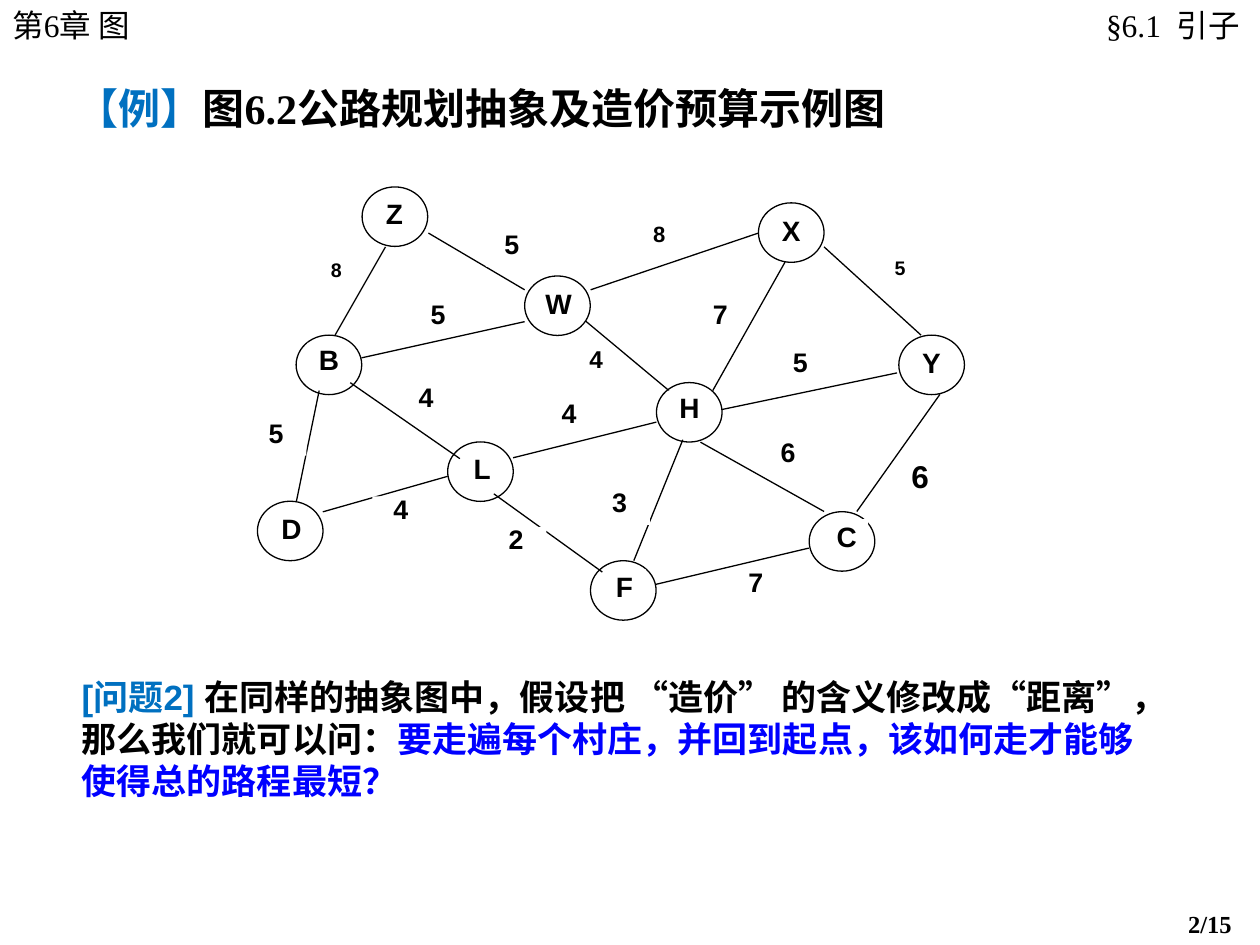
from lxml import etree
from pptx import Presentation
from pptx.dml.color import RGBColor
from pptx.enum.shapes import MSO_CONNECTOR, MSO_SHAPE
from pptx.enum.text import MSO_ANCHOR, PP_ALIGN
from pptx.oxml.ns import qn
from pptx.util import Pt

OVAL, RECTANGLE, STRAIGHT = MSO_SHAPE.OVAL, MSO_SHAPE.RECTANGLE, MSO_CONNECTOR.STRAIGHT
LEFT, CENTER, RIGHT = PP_ALIGN.LEFT, PP_ALIGN.CENTER, PP_ALIGN.RIGHT
TOP = MSO_ANCHOR.TOP

BLACK = RGBColor(0x00, 0x00, 0x00)
WHITE = RGBColor(0xFF, 0xFF, 0xFF)
SKY = RGBColor(0x00, 0x70, 0xC0)
BLUE = RGBColor(0x00, 0x00, 0xFF)

SERIF, SANS = "Times New Roman", "Arial"
LINE_WIDTH = 0.75
NODE_WIDTH, NODE_HEIGHT = 37.5, 34
NAME_WIDTH, NAME_HEIGHT = 24.5, 22.3

# Villages: name, left and top of the circle, offset of the name inside it
VILLAGES = [
    ("B", 29.2, 85.5, 6.5, 4.5),
    ("Z", 66.9, 0.8, 6.2, 5.6),
    ("L", 115.8, 146.5, 7.5, 5.8),
    ("W", 159.8, 51.7, 7.2, 5.8),
    ("X", 293.4, 9.9, 6.5, 6),
    ("D", 7.1, 180.4, 7.2, 5.8),
    ("Y", 373.6, 85.5, 6.5, 5.8),
    ("C", 322.4, 186.4, 9.2, 4.2),
    ("H", 235.1, 112.6, 6.7, 4.6),
    ("F", 197.4, 214.4, 7.2, 5),
]

# Roads: start x, y and end x, y
ROADS = [
    (104.8, 27.2, 159.8, 59.6),     # Z-W
    (80.3, 35.1, 51.5, 85.5),       # Z-B
    (197.5, 59.6, 293.4, 27.2),     # W-X
    (194.8, 77.6, 242.3, 117.2),    # W-H
    (330.9, 35.1, 386.3, 85.5),     # X-Y
    (267.3, 117.2, 308.6, 43.8),    # H-X
    (272.6, 128, 372.6, 107.1),     # H-Y
    (153.2, 155.6, 235.1, 135.2),   # L-H
    (260.3, 146.7, 330.9, 186.3),   # H-C
    (349.6, 186.3, 397.1, 119.4),   # C-Y
    (234.9, 227.9, 322.2, 207.2),   # F-C
    (44.5, 186.5, 115.8, 166.2),    # D-L
    (142.2, 176.2, 204.2, 220.9),   # L-F
    (66.6, 98.5, 159.8, 77.8),      # B-W
    (60.2, 112.7, 122.8, 156.1),    # B-L
    (42.4, 117.2, 29.4, 180.4),     # B-D
    (222.2, 214.4, 250.2, 145.3),   # F-H
]

# Road costs: value, (left, top, width, height), text size, line spacing
COSTS = [
    ("8", (40, 43.8, 24.5, 15.1), 11.2, 0.8),
    ("8", (223.8, 22.9, 25.9, 15.8), 12.6, 0.8),
    ("7", (259.4, 66.1, 24.5, 20.2), 15.3, 0.9),
    ("5", (300, 93.4, 34.6, 20.2), 15.3, 0.9),
    ("6", (296, 145.3, 28.8, 19.4), 15.3, 0.9),
    ("6", (373.6, 155.4, 24.5, 22.3), 18, 1.0),
    ("5", (137.7, 26.2, 29.5, 20.2), 15.3, 0.9),
    ("5", (360.6, 43, 27.4, 15.1), 11.2, 0.8),
    ("4", (89.5, 113.6, 28.1, 18.7), 15.3, 0.9),
    ("4", (72.8, 177.7, 32.4, 20.2), 15.3, 0.9),
    ("4", (188, 93.7, 25.2, 17.3), 13.9, 0.8),
    ("5", (97.4, 66.1, 25.9, 18), 15.3, 0.9),
    ("3", (196.8, 173.8, 34.6, 20.2), 15.3, 0.9),
    ("2", (137.6, 195, 34.6, 20.2), 15.3, 0.9),
    ("7", (274.6, 219.4, 34.6, 20.2), 15.3, 0.9),
    ("4", (172.2, 123, 25.9, 20.2), 15.3, 0.9),
    ("5", (0.5, 134.2, 34.6, 20.2), 15.3, 0.9),
]


def set_all(target, values):
    for name, value in values.items():
        setattr(target, name, value)


def write(frame, spans, size, align=LEFT, spacing=None, bold=True, margins=(7.2, 3.6, 7.2, 3.6)):
    """Fill a text frame with one paragraph of (text, font, colour) spans."""
    left, top, right, bottom = margins
    set_all(frame, {
        "word_wrap": True, "vertical_anchor": TOP,
        "margin_left": Pt(left), "margin_top": Pt(top),
        "margin_right": Pt(right), "margin_bottom": Pt(bottom),
    })
    para = frame.paragraphs[0]
    set_all(para, {"alignment": align, "line_spacing": spacing})
    for text, font, colour in spans:
        span = para.add_run()
        span.text = text
        set_all(span.font, {"name": font, "size": Pt(size), "bold": bold})
        span.font.color.rgb = colour


def add_text(page, box, spans, size, **options):
    frame = page.shapes.add_textbox(*map(Pt, box)).text_frame
    write(frame, spans, size, **options)


def add_plain_shape(page, kind, box):
    shape = page.shapes.add_shape(kind, *map(Pt, box))
    shape.shadow.inherit = False
    shape.fill.solid()
    shape.fill.fore_color.rgb = WHITE
    shape.line.fill.background()
    return shape


def add_circle(page, box):
    line = add_plain_shape(page, OVAL, box).line
    line.color.rgb = BLACK
    line.width = Pt(LINE_WIDTH)


def add_road(page, points):
    road = page.shapes.add_connector(STRAIGHT, *map(Pt, points))
    road.line.color.rgb = BLACK
    road.line.width = Pt(LINE_WIDTH)
    etree.SubElement(road._element.spPr, qn("a:effectLst"))


def add_label(page, box, text, size, spacing=None):
    frame = add_plain_shape(page, RECTANGLE, box).text_frame
    write(frame, [(text, SANS, BLACK)], size, align=CENTER, spacing=spacing, margins=(0, 0, 0, 0))


def add_graph(page, box):
    """Draw circles, then roads, then costs and names on top."""
    left, top = box
    for _, x, y, _, _ in VILLAGES:
        add_circle(page, (left + x, top + y, NODE_WIDTH, NODE_HEIGHT))
    for x1, y1, x2, y2 in ROADS:
        add_road(page, (left + x1, top + y1, left + x2, top + y2))
    for cost, (x, y, width, height), size, spacing in COSTS:
        add_label(page, (left + x, top + y, width, height), cost, size, spacing)
    for name, x, y, dx, dy in VILLAGES:
        add_label(page, (left + x + dx, top + y + dy, NAME_WIDTH, NAME_HEIGHT), name, 16)


def add_header(page, box):
    left, top, width, height = box
    add_text(page, (left, top, 125, height), [("第6章 图", SERIF, BLACK)], 18, bold=False)
    add_text(page, (left + width - 110, top, 110, height), [("§6.1  引子", SERIF, BLACK)], 18,
             align=RIGHT, bold=False, margins=(8.6, 3.6, 11.5, 3.6))


def add_title(page, box):
    add_text(page, box, [("【例】", SANS, SKY),
                         ("图6.2公路规划抽象及造价预算示例图", SERIF, BLACK)], 24)


def add_question(page, box):
    # The wide right margin keeps the closing quote and comma with their word
    add_text(page, box, [
        ("[问题2] ", SANS, SKY),
        ("在同样的抽象图中，假设把 “造价” 的含义修改成“距离”，那么我们就可以问：", SANS, BLACK),
        ("要走遍每个村庄，并回到起点，该如何走才能够使得总的路程最短？", SANS, BLUE),
    ], 20, margins=(7.2, 3.6, 20, 3.6))


def add_page_number(page, box):
    add_text(page, box, [("2/15", SERIF, BLACK)], 14)


def main():
    deck = Presentation()
    deck.slide_width, deck.slide_height = Pt(720), Pt(540)
    page = deck.slides.add_slide(deck.slide_layouts[6])
    add_header(page, (0, 0, 720, 29))
    add_title(page, (36.7, 43.6, 640.8, 36))
    add_question(page, (39.6, 382.3, 630, 79.2))
    add_graph(page, (140, 106))
    add_page_number(page, (671.8, 516.2, 48.2, 24.5))
    deck.save("out.pptx")


if __name__ == "__main__":
    main()
